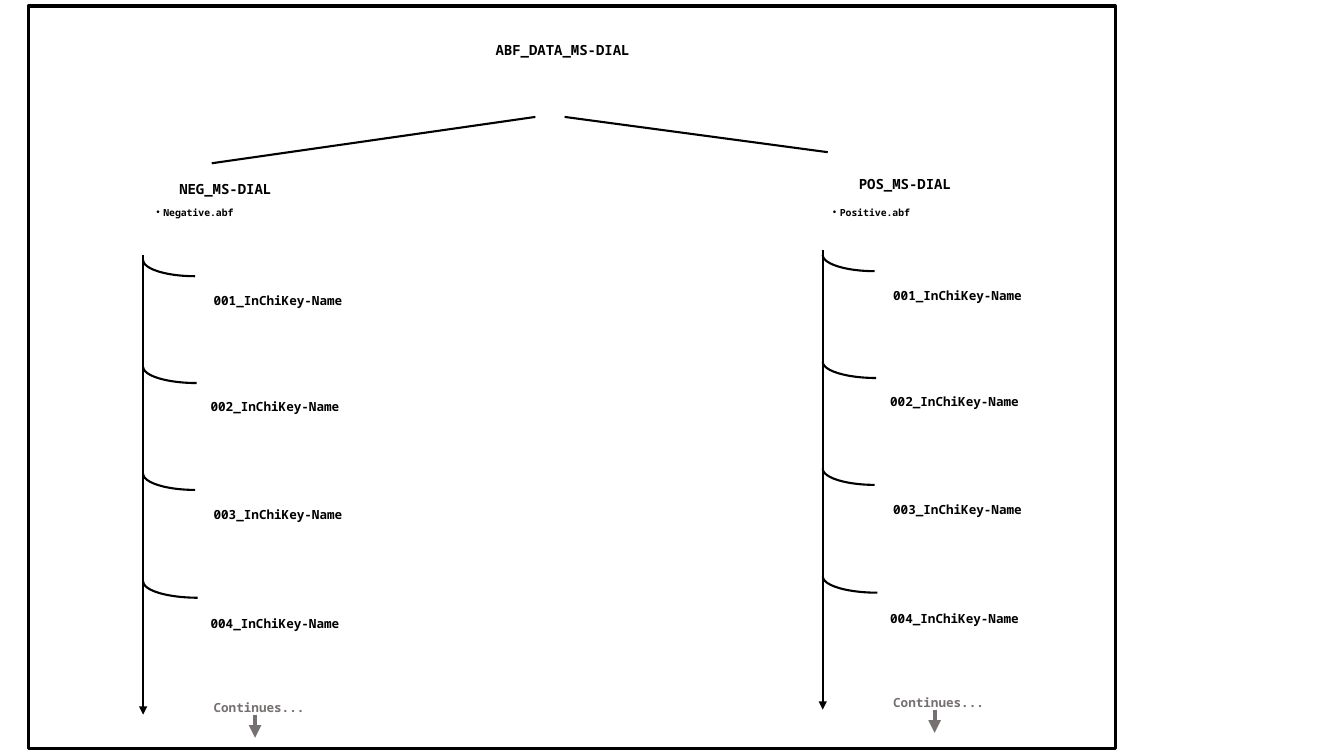
"""Build a slide that shows the folder tree of the ABF data."""
from dataclasses import dataclass

from lxml.etree import SubElement
from pptx import Presentation
from pptx.dml.color import RGBColor
from pptx.enum.shapes import MSO_CONNECTOR as Connector, MSO_SHAPE as Preset
from pptx.enum.text import MSO_ANCHOR as Anchor, MSO_AUTO_SIZE as AutoSize, PP_ALIGN as Align
from pptx.oxml.ns import qn
from pptx.shapes.base import BaseShape
from pptx.slide import Slide
from pptx.util import Inches, Pt

BLACK = RGBColor(0x00, 0x00, 0x00)
GREY = RGBColor(0x76, 0x71, 0x71)
FONT = "Noto Sans Mono"
LINE_WIDTH = 1.5
ARC_DEPTH = 0.32
LABEL_HEIGHT = 0.25
HEADING_HEIGHT = 0.27


@dataclass(frozen=True)
class Branch:
    """Describe one side of the tree; left and top locate its trunk."""
    heading: str
    file: str
    left: float
    top: float
    list_left: float


@dataclass(frozen=True)
class Folder:
    """Describe one folder, measured from the top of its trunk."""
    name: str
    reach: float
    arc_middle: float
    label_left: float
    label_top: float


@dataclass(frozen=True)
class Stroke:
    """Describe one straight line by its two ends."""
    start: tuple[float, float]
    end: tuple[float, float]
    color: RGBColor = BLACK
    width: float = LINE_WIDTH
    arrow: bool = False


BRANCHES = (
    Branch("NEG_MS-DIAL", "Negative.abf", 1.42, 2.53, 1.45),
    Branch("POS_MS-DIAL", "Positive.abf", 8.16, 2.48, 8.16),
)
FOLDERS = (
    Folder("001_InChiKey-Name", 1.03, 0.05, 0.60, 0.33),
    Folder("002_InChiKey-Name", 1.06, 1.11, 0.57, 1.38),
    Folder("003_InChiKey-Name", 1.03, 2.17, 0.60, 2.45),
    Folder("004_InChiKey-Name", 1.08, 3.24, 0.57, 3.53),
)
ROOT_LINES = (
    Stroke((2.1, 1.62), (5.31, 1.16)),
    Stroke((8.21, 1.51), (5.6, 1.16)),
)


def place(shape: BaseShape, left: float, top: float, width: float, height: float) -> None:
    """Move and size a shape in inches."""
    bounds = {"left": left, "top": top, "width": width, "height": height}
    for name, value in bounds.items():
        setattr(shape, name, Inches(value))


def write(shape: BaseShape, text: str, size: float, color: RGBColor = BLACK,
          align: Align = Align.LEFT, line_spacing: float = 1.0) -> None:
    """Put one formatted paragraph into a shape."""
    frame = shape.text_frame
    frame_format = {"word_wrap": True, "auto_size": AutoSize.SHAPE_TO_FIT_TEXT,
                    "vertical_anchor": Anchor.TOP}
    for name, value in frame_format.items():
        setattr(frame, name, value)
    para = frame.paragraphs[0]
    para_format = {"alignment": align, "space_before": Pt(0), "line_spacing": line_spacing}
    for name, value in para_format.items():
        setattr(para, name, value)
    span = para.add_run()
    span.text = text
    for name, value in {"name": FONT, "size": Pt(size), "bold": True}.items():
        setattr(span.font, name, value)
    span.font.color.rgb = color


def add_label(page: Slide, text: str, left: float, top: float, width: float,
              height: float = LABEL_HEIGHT, size: float = 9, color: RGBColor = BLACK) -> None:
    """Add a text box with one line."""
    box = page.shapes.add_textbox(0, 0, 0, 0)
    place(box, left, top, width, height)
    write(box, text, size, color)


def fill_list(box: BaseShape, branch: Branch) -> None:
    """Show the file of a branch as a bullet in a body placeholder."""
    place(box, branch.list_left, 2.01, 1.87, 0.34)
    write(box, branch.file, 7, line_spacing=0.9)
    properties = box.text_frame.paragraphs[0]._p.get_or_add_pPr()
    properties.set("marL", str(Inches(0.07)))
    properties.set("indent", str(Inches(-0.07)))
    SubElement(properties, qn("a:buChar"), char="•")


def add_stroke(page: Slide, stroke: Stroke) -> None:
    """Draw a straight line, with an arrowhead at its end if asked."""
    ends = (Inches(value) for value in (*stroke.start, *stroke.end))
    connector = page.shapes.add_connector(Connector.STRAIGHT, *ends)
    connector.line.color.rgb = stroke.color
    connector.line.width = Pt(stroke.width)
    if stroke.arrow:
        SubElement(connector.line._get_or_add_ln(), qn("a:tailEnd"), type="triangle")
    SubElement(connector._element.spPr, qn("a:effectLst"))


def add_outline(page: Slide, preset: Preset, left: float, top: float,
                width: float, height: float, line_width: float) -> BaseShape:
    """Add an unfilled black preset shape."""
    shape = page.shapes.add_shape(preset, 0, 0, 0, 0)
    place(shape, left, top, width, height)
    shape.shadow.inherit = False
    shape.fill.background()
    shape.line.color.rgb = BLACK
    shape.line.width = Pt(line_width)
    return shape


def add_folder(page: Slide, branch: Branch, folder: Folder) -> None:
    """Draw the arc from the trunk to a folder, and its name."""
    left = branch.left + (folder.reach - ARC_DEPTH) / 2
    top = branch.top + folder.arc_middle - folder.reach / 2
    arc = add_outline(page, Preset.ARC, left, top, ARC_DEPTH, folder.reach, LINE_WIDTH)
    arc.rotation = 270
    arc._element.spPr.get_or_add_xfrm().set("flipH", "1")
    add_label(page, folder.name, branch.left + folder.label_left,
              branch.top + folder.label_top, 2.45)


def add_branch(page: Slide, branch: Branch) -> None:
    """Draw the heading, trunk and folders of a branch."""
    left, top = branch.left, branch.top
    trunk_end = (left, top + 4.28)
    more = left + 1.11
    add_label(page, branch.heading, left + 0.26, top - 0.79, 1.17, HEADING_HEIGHT, 10)
    add_stroke(page, Stroke(trunk_end, (left, top)))
    add_stroke(page, Stroke(trunk_end, (left, top + 4.56), arrow=True))
    for folder in FOLDERS:
        add_folder(page, branch, folder)
    add_label(page, "Continues...", left + 0.6, top + 4.36, 1.12, color=GREY)
    add_stroke(page, Stroke((more, top + 4.56), (more, top + 4.79), GREY, 3, True))


def main() -> None:
    """Build and save the deck."""
    deck = Presentation()
    deck.slide_width, deck.slide_height = Inches(13.33), Inches(7.5)
    page = deck.slides.add_slide(deck.slide_layouts.get_by_name("Two Content"))
    title, *lists = page.placeholders
    place(title, 4.75, 0.36, 1.66, HEADING_HEIGHT)
    write(title, "ABF_DATA_MS-DIAL", 10, align=Align.CENTER)
    add_outline(page, Preset.RECTANGLE, 0.28, 0.06, 10.78, 7.37, 2.25)
    for stroke in ROOT_LINES:
        add_stroke(page, stroke)
    for box, branch in zip(lists, BRANCHES):
        fill_list(box, branch)
        add_branch(page, branch)
    deck.save("out.pptx")


if __name__ == "__main__":
    main()
